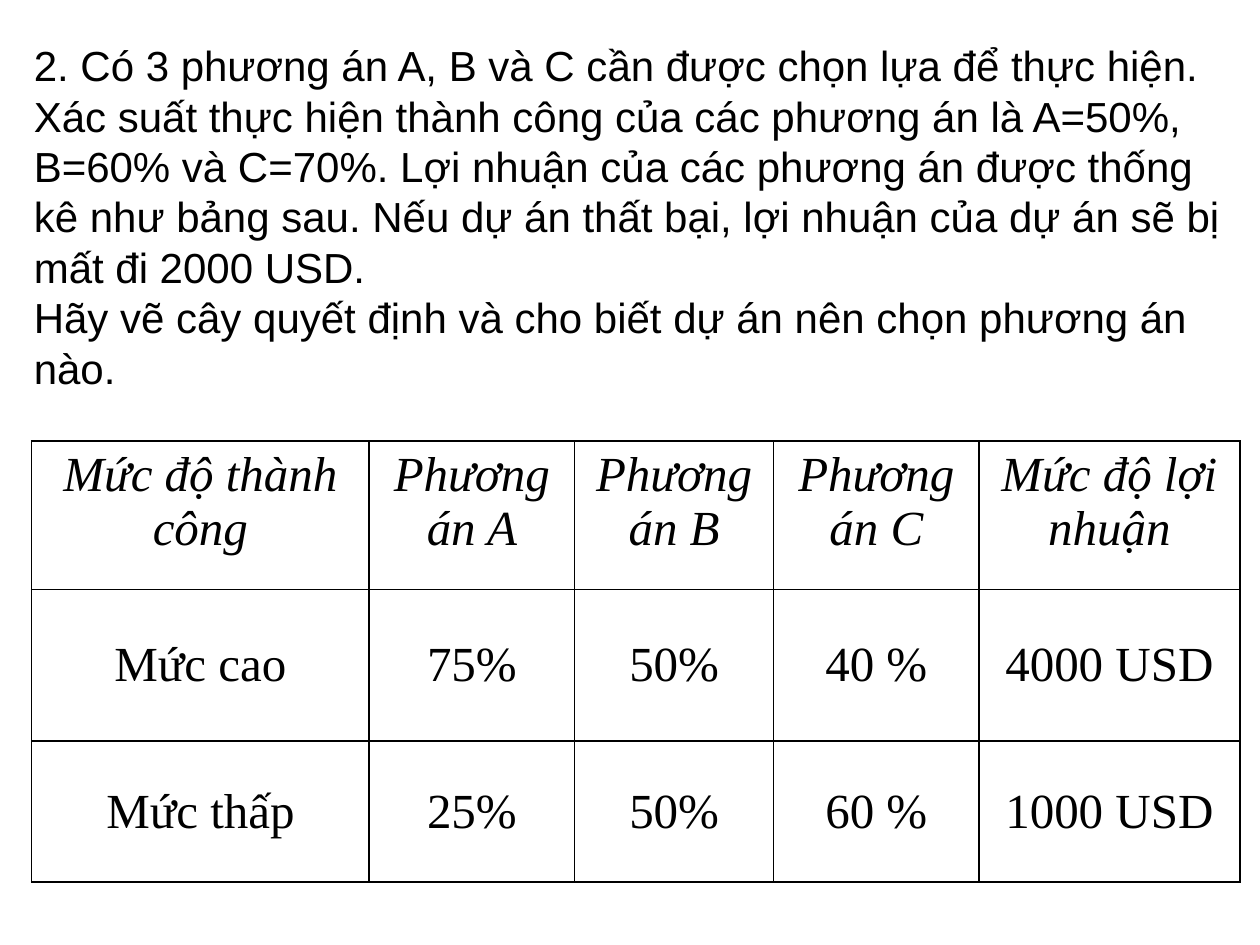
from dataclasses import dataclass

import lxml.etree
import pptx
import pptx.dml.color
import pptx.enum.text
import pptx.oxml.ns
import pptx.util

Inches = pptx.util.Inches
ANCHOR = pptx.enum.text.MSO_ANCHOR
ALIGN = pptx.enum.text.PP_ALIGN

COLORS = {"ink": "000000", "paper": "FFFFFF"}

QUESTION = [
    "2. Có 3 phương án A, B và C cần được chọn lựa để thực hiện. "
    "Xác suất thực hiện thành công của các phương án là A=50%, B=60% và C=70%. "
    "Lợi nhuận của các phương án được thống kê như bảng sau. "
    "Nếu dự án thất bại, lợi nhuận của dự án sẽ bị mất đi 2000 USD.",
    "Hãy vẽ cây quyết định và cho biết dự án nên chọn phương án nào.",
]


@dataclass
class ProfitRow:
    height: float
    values: list[str]
    is_header: bool = False


COLUMN_WIDTHS = [2.68, 1.63, 1.58, 1.63, 2.07]
PROFIT_ROWS = [
    ProfitRow(1.18, ["Mức độ thành công", "Phương án A", "Phương án B",
                     "Phương án C", "Mức độ lợi nhuận"], is_header=True),
    ProfitRow(1.2, ["Mức cao", "75%", "50%", "40 %", "4000 USD"]),
    ProfitRow(1.12, ["Mức thấp", "25%", "50%", "60 %", "1000 USD"]),
]


def format_runs(paragraph, font_name: str, size: int, italic: bool = False) -> None:
    for run in paragraph.runs:
        run.font.name = font_name
        run.font.size = pptx.util.Pt(size)
        run.font.italic = italic
        run.font.color.rgb = pptx.dml.color.RGBColor.from_string(COLORS["ink"])


def add_borders(cell, width: float = 1) -> None:
    """Rule all four sides of a cell; call before filling, as the schema puts lines first."""
    qn = pptx.oxml.ns.qn
    properties = cell._tc.get_or_add_tcPr()
    for side in ("lnL", "lnR", "lnT", "lnB"):
        line = lxml.etree.SubElement(properties, qn(f"a:{side}"), w=str(pptx.util.Pt(width)))
        fill = lxml.etree.SubElement(line, qn("a:solidFill"))
        lxml.etree.SubElement(fill, qn("a:srgbClr"), val=COLORS["ink"])


def add_question(slide) -> None:
    question = slide.shapes.add_textbox(Inches(0.17), Inches(0.25), Inches(9.83), Inches(2.93))
    frame = question.text_frame
    frame.word_wrap = True
    frame.vertical_anchor = ANCHOR.MIDDLE
    frame.text = "\n".join(QUESTION)
    for paragraph in frame.paragraphs:
        format_runs(paragraph, "Arial", 24)


def fill_cell(cell, value: str, is_header: bool) -> None:
    add_borders(cell)
    cell.fill.solid()
    cell.fill.fore_color.rgb = pptx.dml.color.RGBColor.from_string(COLORS["paper"])
    cell.vertical_anchor = ANCHOR.TOP if is_header else ANCHOR.MIDDLE
    cell.text_frame.text = value
    paragraph = cell.text_frame.paragraphs[0]
    paragraph.alignment = ALIGN.CENTER
    format_runs(paragraph, "Times New Roman", 28, italic=is_header)


def add_profit_table(slide) -> None:
    table = slide.shapes.add_table(
        len(PROFIT_ROWS), len(COLUMN_WIDTHS), Inches(0.25), Inches(3.5),
        Inches(sum(COLUMN_WIDTHS)), Inches(sum(row.height for row in PROFIT_ROWS)),
    ).table
    table.first_row = table.horz_banding = False
    for column, width in zip(table.columns, COLUMN_WIDTHS):
        column.width = Inches(width)
    for table_row, profit_row in zip(table.rows, PROFIT_ROWS):
        table_row.height = Inches(profit_row.height)
        for cell, value in zip(table_row.cells, profit_row.values):
            fill_cell(cell, value, profit_row.is_header)


def main() -> None:
    presentation = pptx.Presentation()
    presentation.slide_width = Inches(10)
    presentation.slide_height = Inches(7.5)
    slide = presentation.slides.add_slide(presentation.slide_layouts[6])
    add_question(slide)
    add_profit_table(slide)
    presentation.save("out.pptx")


if __name__ == "__main__":
    main()
